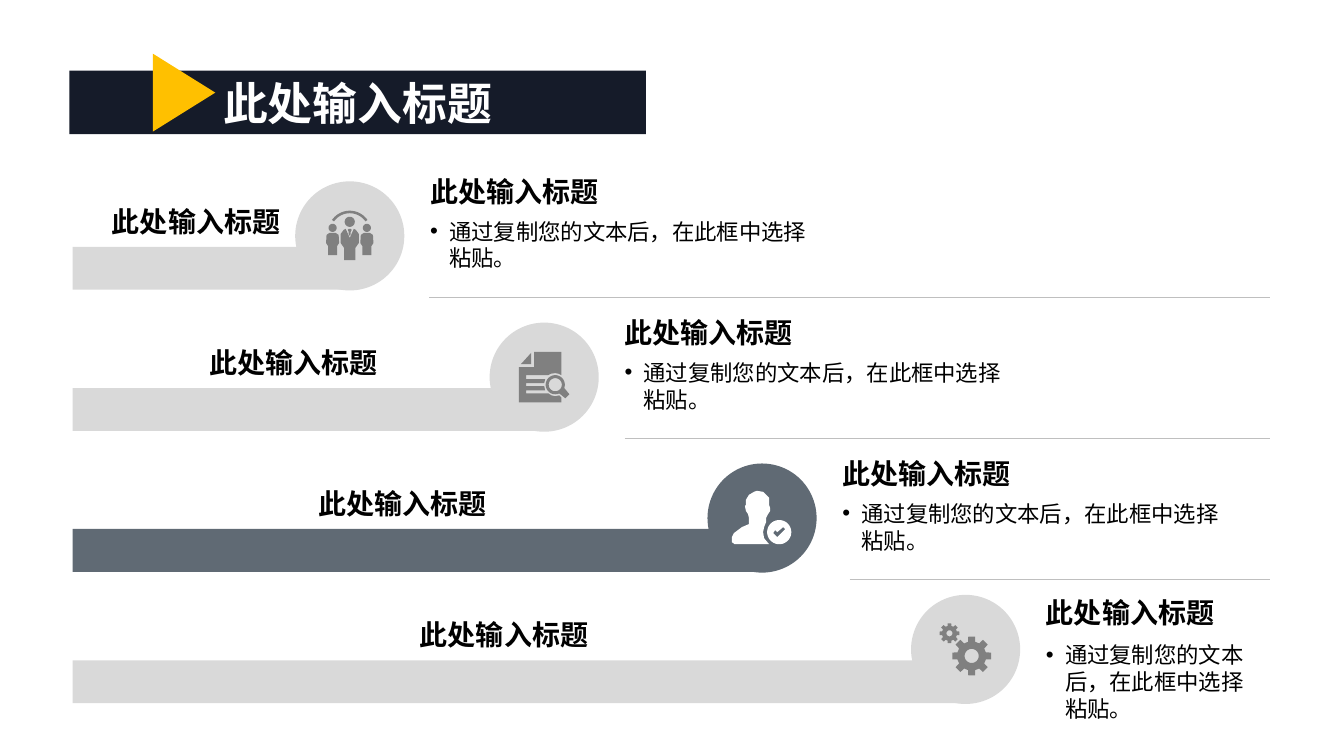
from dataclasses import dataclass
from math import cos, radians, sin

from lxml import etree
from pptx import Presentation
from pptx.dml.color import RGBColor
from pptx.enum.shapes import MSO_CONNECTOR, MSO_SHAPE
from pptx.enum.text import MSO_ANCHOR, PP_ALIGN
from pptx.oxml.ns import qn
from pptx.util import Cm, Pt

RECTANGLE, OVAL, TRIANGLE = MSO_SHAPE.RECTANGLE, MSO_SHAPE.OVAL, MSO_SHAPE.ISOSCELES_TRIANGLE
STRAIGHT = MSO_CONNECTOR.STRAIGHT
TOP, MIDDLE, BOTTOM = MSO_ANCHOR.TOP, MSO_ANCHOR.MIDDLE, MSO_ANCHOR.BOTTOM
CENTER = PP_ALIGN.CENTER

COLORS = {
    "navy": "151B29", "amber": "FFC000", "slate": "606A74", "pale": "D9D9D9",
    "gray": "808080", "rule": "BFBFBF", "black": "000000", "white": "FFFFFF",
}
FONT = "Arial"
TITLE = "此处输入标题"
DETAIL = "通过复制您的文本后，在此框中选择粘贴。"
BAR_LEFT = 1.83
DIAMETER = 2.75
RULE_RIGHT = 32
ICON_UNIT = Cm(0.0254)
PRECISION = 100

Outline = list[tuple[float, float]]
Box = tuple[float, float, float, float]


def arc(x: float, y: float, radius: float, start: float = 0, end: float = 360) -> Outline:
    steps = 40
    angles = [radians(start + (end - start) * i / steps) for i in range(steps + 1)]
    return [(x + radius * cos(a), y + radius * sin(a)) for a in angles]


def gear(x: float, y: float, tip: float, root: float, hole: float) -> list[Outline]:
    profile = ((-14, root), (-10, tip), (10, tip), (14, root))
    teeth = [
        (x + r * cos(radians(45 * tooth + turn)), y + r * sin(radians(45 * tooth + turn)))
        for tooth in range(8) for turn, r in profile
    ]
    return [teeth, arc(x, y, hole)]


def mirrored(right_half: Outline, axis: float = 0) -> Outline:
    return ([(axis + x, y) for x, y in right_half]
            + [(axis - x, y) for x, y in reversed(right_half)])


MEMBER = [(3, -3), (6, -1), (6.5, 7), (4.5, 10), (4.5, 19)]
TEAM = [
    arc(0, -3.5, 21.5, 215, 325) + arc(0, -3.5, 19, 325, 215),
    arc(0, -14, 5),
    mirrored([(0, 2), (4, -7), (6, -6), (9, -2), (9, 7), (5.5, 12), (5.5, 24)]),
    mirrored([(1, -7), (2, -6), (1, -4), (1, -2), (0, 0)]),
]
for member_x in (-17, 17):
    TEAM += [arc(member_x, -8, 4), mirrored(MEMBER, member_x)]

DOCUMENT = [
    [(-10, -25), (17, -25), (17, -2), (14, -3.5), (11, -4), (7, -3.5), (4, -2),
     (-18, -2), (-18, 2), (1, 2), (0, 6), (-18, 6), (-18, 9), (0, 9), (1, 13),
     (-18, 13), (-18, 16), (4, 16), (7, 18), (11, 19), (15, 18), (17, 20),
     (17, 25), (-25, 25), (-25, -10), (-10, -10)],
    [(-13, -24), (-13, -13), (-23, -13)],
    arc(11, 7.5, 9.5, 65, 380) + [(25, 17), (21, 21)],
    arc(11, 7.5, 6.5),
]
USER = [
    [(-5, -27), (1, -26), (4, -23), (7, -20), (7, -13), (8, -10), (8, -7), (6, -4),
     (4, 0), (4, 4), (2, 9), (1, 14), (2, 20), (7, 26), (-27, 26), (-30, 24),
     (-30, 19), (-28, 15), (-20, 9), (-13, 6), (-13, 0), (-14, -4), (-16, -7),
     (-17, -12), (-16, -13), (-16, -18), (-13, -23), (-8, -26)],
    arc(17, 14, 12),
    [(21, 9), (15, 14), (13, 12), (11, 15), (15, 19), (23, 11)],
]
GEARS = gear(6, 6.5, 19.5, 14.5, 7) + gear(-16, -16, 10, 7.5, 3)


@dataclass(frozen=True)
class Step:
    left: float
    top: float
    icon: list[Outline]
    rule_left: float | None
    band: str = "pale"
    icon_color: str = "gray"
    heading_shift: float = -0.43
    heading_width: float = 11.4
    heading_anchor: MSO_ANCHOR = BOTTOM
    detail_shift: float = 0.79
    detail_width: float = 10.34


STEPS = [
    Step(7.44, 4.57, TEAM, 10.82),
    Step(12.34, 8.13, DOCUMENT, 15.75),
    Step(17.83, 11.68, USER, 21.41, "slate", "white"),
    Step(22.96, 14.99, GEARS, None, heading_shift=-0.18, heading_width=5.21,
         heading_anchor=MIDDLE, detail_shift=1.04, detail_width=5.92),
]


def rgb(color: str) -> RGBColor:
    return RGBColor.from_string(COLORS[color])


def paint(shape, color: str) -> None:
    shape.shadow.inherit = False
    shape.fill.solid()
    shape.fill.fore_color.rgb = rgb(color)
    shape.line.fill.background()


def add_block(shapes, kind: MSO_SHAPE, box: Box, color: str):
    block = shapes.add_shape(kind, *map(Cm, box))
    paint(block, color)
    return block


def write(shape, text: str, size: float, color: str = "black", bold: bool = False,
          anchor: MSO_ANCHOR = TOP, bullet: bool = False):
    frame = shape.text_frame
    frame.word_wrap = True
    frame.vertical_anchor = anchor
    paragraph = frame.paragraphs[0]
    paragraph.text = text
    if bullet:
        properties = paragraph._p.get_or_add_pPr()
        properties.set("marL", str(Cm(0.48)))
        properties.set("indent", str(-Cm(0.48)))
        etree.SubElement(properties, qn("a:buFont")).set("typeface", FONT)
        etree.SubElement(properties, qn("a:buChar")).set("char", "•")
    paragraph.font.name = FONT
    paragraph.font.size = Pt(size)
    paragraph.font.bold = bold
    paragraph.font.color.rgb = rgb(color)
    return paragraph


def add_label(shapes, box: Box, anchor: MSO_ANCHOR) -> None:
    write(shapes.add_textbox(*map(Cm, box)), TITLE, 20, bold=True, anchor=anchor)


def add_icon(shapes, outlines: list[Outline], x: float, y: float, color: str) -> None:
    scaled = [[(px * PRECISION, py * PRECISION) for px, py in o] for o in outlines]
    builder = shapes.build_freeform(*scaled[0][0], scale=ICON_UNIT / PRECISION)
    for index, outline in enumerate(scaled):
        if index:
            builder.move_to(*outline[0])
        builder.add_line_segments(outline[1:], close=True)
    paint(builder.convert_to_shape(Cm(x), Cm(y)), color)


def add_rule(shapes, left: float, y: float) -> None:
    rule = shapes.add_connector(STRAIGHT, Cm(left), Cm(y), Cm(RULE_RIGHT), Cm(y))
    rule.line.color.rgb = rgb("rule")
    rule.line.width = Pt(0.25)
    etree.SubElement(rule._element.spPr, qn("a:effectLst"))


def add_step(shapes, step: Step) -> None:
    center = step.left + DIAMETER / 2
    bar_width = center - BAR_LEFT
    text_left = step.left + 3.15
    add_block(shapes, RECTANGLE, (BAR_LEFT, step.top + 1.65, bar_width, 1.08), step.band)
    add_block(shapes, OVAL, (step.left, step.top, DIAMETER, DIAMETER), step.band)
    add_icon(shapes, step.icon, center, step.top + DIAMETER / 2, step.icon_color)
    add_label(shapes, (text_left, step.top + step.heading_shift, step.heading_width, 1.22),
              step.heading_anchor)
    detail = shapes.add_textbox(Cm(text_left), Cm(step.top + step.detail_shift),
                                Cm(step.detail_width), Cm(DIAMETER - step.detail_shift))
    write(detail, DETAIL, 16, bullet=True)
    add_label(shapes, (BAR_LEFT + bar_width / 2 - 2.75, step.top + 0.48, 5.61, 1.07), BOTTOM)
    if step.rule_left is not None:
        add_rule(shapes, step.rule_left, step.top + 2.92)


def main() -> None:
    deck = Presentation()
    deck.slide_width, deck.slide_height = Cm(33.87), Cm(19.05)
    shapes = deck.slides.add_slide(deck.slide_layouts[6]).shapes
    for step in STEPS:
        add_step(shapes, step)
    banner = add_block(shapes, RECTANGLE, (1.75, 1.78, 14.53, 1.6), "navy")
    write(banner, TITLE, 32, "white", bold=True, anchor=BOTTOM).alignment = CENTER
    add_block(shapes, TRIANGLE, (3.66, 1.55, 1.96, 1.57), "amber").rotation = 90
    deck.save("out.pptx")


if __name__ == "__main__":
    main()
